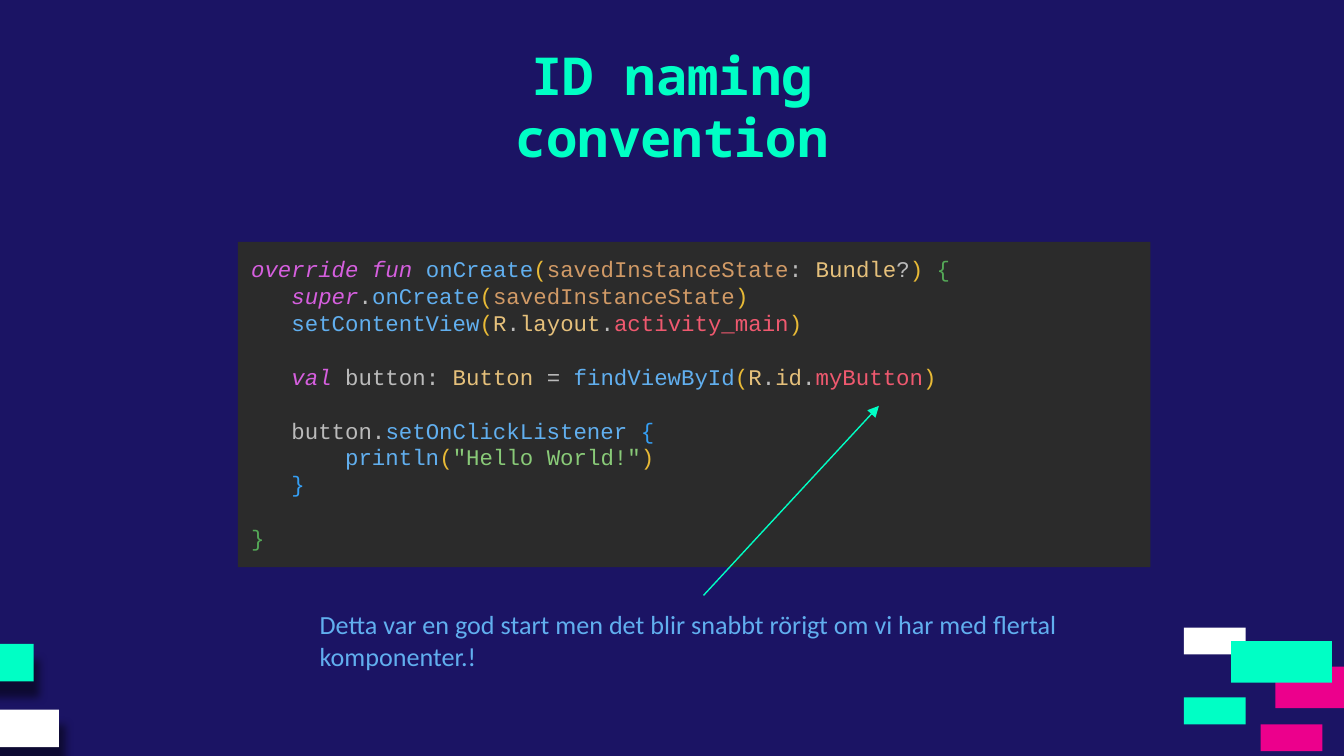
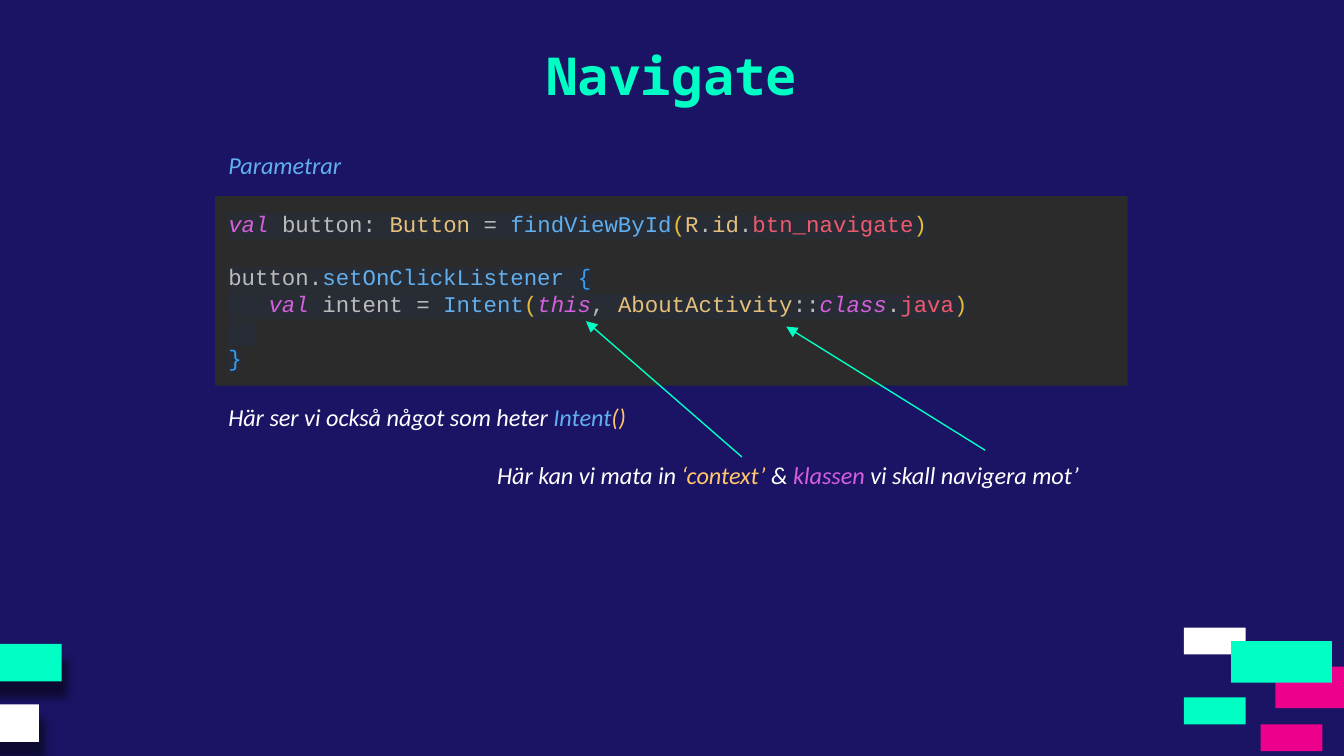
"""Build two slides on naming view IDs and navigating between activities."""
import pptx
import pptx.dml.color
import pptx.enum.shapes
import pptx.enum.text
import pptx.oxml.ns
import pptx.util
from lxml import etree

Inches = pptx.util.Inches
Pt = pptx.util.Pt
qn = pptx.oxml.ns.qn

COLOURS = {
    "background": "1B1464", "mint": "00FFC5", "white": "FFFFFF", "pink": "EC008C",
    "panel": "2B2B2B", "highlight": "282C34", "shadow": "000000",
    "keyword": "D55FDE", "call": "61AFEF", "paren": "E8BA36", "argument": "D19A66",
    "plain": "BBBBBB", "type": "E5C07B", "outer": "54A857", "inner": "359FF4",
    "resource": "EF596F", "string": "89CA78", "amber": "FFC66D",
}
WIDTH = 10
HEIGHT = WIDTH * 9 / 16
INSET = 0.1
LINE_PITCH = 1.2
TITLE_FONT, CODE_FONT, BODY_FONT = "Noto Sans Mono", "Courier New", "Calibri"
TITLE_BOX = (3.11, 0.22, 3.78, 0.73)
PANEL_WIDTH = 6.79
LEFT_BAR = (0.73, 0.28)
LARGE_BAR, SMALL_BAR = (0.75, 0.31), (0.46, 0.2)
RIGHT_BARS = [
    ("pink", 9.49, 4.96, LARGE_BAR),
    ("white", 8.81, 4.67, SMALL_BAR),
    ("mint", 8.81, 5.19, SMALL_BAR),
    ("pink", 9.38, 5.39, SMALL_BAR),
    ("mint", 9.16, 4.77, LARGE_BAR),
]


def find_button(view_id, indent=""):
    return [("keyword", indent + "val "), ("plain", "button: "), ("type", "Button "),
            ("plain", "= "), ("call", "findViewById"), ("paren", "("), ("type", "R"),
            ("plain", "."), ("type", "id"), ("plain", "."), ("resource", view_id),
            ("paren", ")")]


def open_listener(indent=""):
    return [("plain", indent + "button."), ("call", "setOnClickListener "), ("inner", "{")]


ON_CREATE = [
    [("keyword", "override fun "), ("call", "onCreate"), ("paren", "("),
     ("argument", "savedInstanceState"), ("plain", ": "), ("type", "Bundle"),
     ("plain", "?"), ("paren", ") "), ("outer", "{")],
    [("keyword", "   super"), ("plain", "."), ("call", "onCreate"), ("paren", "("),
     ("argument", "savedInstanceState"), ("paren", ")")],
    [("call", "   setContentView"), ("paren", "("), ("type", "R"), ("plain", "."),
     ("type", "layout"), ("plain", "."), ("resource", "activity_main"), ("paren", ")")],
    [],
    find_button("myButton", "   "),
    [],
    open_listener("   "),
    [("call", "       println"), ("paren", "("), ("string", '"Hello World!"'), ("paren", ")")],
    [("inner", "   }")],
    [],
    [("outer", "}")],
]
NAVIGATE = [
    find_button("btn_navigate"),
    [],
    open_listener(),
    [("keyword", "   val "), ("plain", "intent = "), ("call", "Intent"), ("paren", "("),
     ("keyword", "this"), ("plain", ", "), ("type", "AboutActivity"), ("plain", "::"),
     ("keyword", "class"), ("plain", "."), ("resource", "java"), ("paren", ")")],
    [("plain", "  ")],
    [("inner", "}")],
]
START_NOTE = [[("call", "Detta var en god start men det blir snabbt rörigt "
                        "om vi har med flertal komponenter.!")]]
PARAMETERS = [[("call", "Parametrar")]]
INTENT_NOTE = [
    [("white", "Här ser vi också något som heter"), ("call", " Intent"), ("amber", "()")],
    [("white", "Här kan vi mata in "), ("amber", "‘context’"), ("white", " & "),
     ("keyword", "klassen"), ("white", " vi skall navigera mot’")],
]
SLIDES = [
    {"title": "ID naming convention",
     "left_bars": [("mint", -0.48, 4.79), ("white", -0.29, 5.28)],
     "code": (ON_CREATE, (1.77, 1.8, PANEL_WIDTH, 2.42), None),
     "notes": [(START_NOTE, (2.28, 4.43, 5.91, 0.67), {"size": 14})],
     "arrows": [((5.23, 4.43), (6.54, 3.02), 0)]},
    {"title": "Navigate",
     "left_bars": [("mint", -0.27, 4.79), ("white", -0.44, 5.24)],
     "code": (NAVIGATE, (1.6, 1.46, PANEL_WIDTH, 1.41), "highlight"),
     "notes": [(PARAMETERS, (1.6, 1.02, PANEL_WIDTH, 0.42), {"size": 13, "italic": True}),
               (INTENT_NOTE, (1.6, 2.89, PANEL_WIDTH, 0.86),
                {"size": 13, "italic": True, "step": (1.5, 0.5)})],
     "arrows": [((5.52, 3.4), (4.36, 2.39), None), ((7.33, 3.35), (5.85, 2.43), None)]},
]


def rgb(name):
    return pptx.dml.color.RGBColor.from_string(COLOURS[name])


def add_colour(parent, name):
    return etree.SubElement(parent, qn("a:srgbClr"), val=COLOURS[name])


def write(frame, lines, font=BODY_FONT, size=14, bold=False, italic=False,
          align="LEFT", highlight=None, step=None):
    """Fill a text frame with lines of (colour, text) runs; step sets off later lines."""
    frame.word_wrap = True
    frame.auto_size = pptx.enum.text.MSO_AUTO_SIZE.NONE
    frame.vertical_anchor = pptx.enum.text.MSO_ANCHOR.TOP
    for side in ("left", "top", "right", "bottom"):
        setattr(frame, "margin_" + side, Inches(INSET))
    for number, line in enumerate(lines):
        paragraph = frame.add_paragraph() if number else frame.paragraphs[0]
        paragraph.alignment = getattr(pptx.enum.text.PP_ALIGN, align)
        paragraph.line_spacing = Pt(size * LINE_PITCH)
        paragraph.space_before = Pt(0)
        if number and step:
            paragraph.space_before = Pt(size * LINE_PITCH)
            properties = paragraph._p.get_or_add_pPr()
            properties.set("marL", str(Inches(step[0])))
            properties.set("indent", str(Inches(step[1])))
        paragraph.font.size = Pt(size)
        for colour, text in line:
            run = paragraph.add_run()
            run.text = text
            run.font.size = Pt(size)
            run.font.bold = bold
            run.font.italic = italic or (font == CODE_FONT and colour == "keyword")
            run.font.color.rgb = rgb(colour)
            if highlight:
                add_colour(etree.SubElement(run._r.get_or_add_rPr(), qn("a:highlight")), highlight)
            run.font.name = font


def add_block(slide, colour, box):
    block = slide.shapes.add_shape(pptx.enum.shapes.MSO_SHAPE.RECTANGLE, *map(Inches, box))
    block.shadow.inherit = False
    block.fill.solid()
    block.fill.fore_color.rgb = rgb(colour)
    block.line.fill.background()
    return block


def cast_shadow(block):
    effects = block._element.spPr.find(qn("a:effectLst"))
    shadow = etree.SubElement(effects, qn("a:outerShdw"), blurRad=str(Pt(4.5)),
                              dist=str(Pt(9)), dir=str(70 * 60000), algn="bl", rotWithShape="0")
    etree.SubElement(add_colour(shadow, "shadow"), qn("a:alpha"), val="50000")


def add_arrow(slide, start, end):
    arrow = slide.shapes.add_connector(pptx.enum.shapes.MSO_CONNECTOR.STRAIGHT,
                                       *map(Inches, start + end))
    arrow.line.color.rgb = rgb("mint")
    arrow.line.width = Pt(0.75)
    etree.SubElement(arrow.line._get_or_add_ln(), qn("a:tailEnd"), type="triangle")
    etree.SubElement(arrow._element.spPr, qn("a:effectLst"))
    return arrow


def add_slide(deck, content):
    slide = deck.slides.add_slide(deck.slide_layouts[5])
    slide.background.fill.solid()
    slide.background.fill.fore_color.rgb = rgb("background")
    for colour, left, top in content["left_bars"]:
        cast_shadow(add_block(slide, colour, (left, top, *LEFT_BAR)))
    for colour, left, top, size in RIGHT_BARS:
        add_block(slide, colour, (left, top, *size))

    title = slide.shapes.title
    title.left, title.top, title.width, title.height = map(Inches, TITLE_BOX)
    write(title.text_frame, [[("mint", content["title"])]], font=TITLE_FONT,
          size=28, bold=True, align="CENTER")

    code, box, highlight = content["code"]
    panel = add_block(slide, "panel", box)
    write(panel.text_frame, code, font=CODE_FONT, size=12, highlight=highlight)

    notes = []
    for lines, box, style in content["notes"]:
        note = slide.shapes.add_textbox(*map(Inches, box))
        write(note.text_frame, lines, **style)
        notes.append(note)
    for start, end, source in content["arrows"]:
        arrow = add_arrow(slide, start, end)
        if source is not None:
            arrow.begin_connect(notes[source], 0)


def main():
    deck = pptx.Presentation()
    deck.slide_width, deck.slide_height = Inches(WIDTH), Inches(HEIGHT)
    for content in SLIDES:
        add_slide(deck, content)
    deck.save("out.pptx")


if __name__ == "__main__":
    main()
